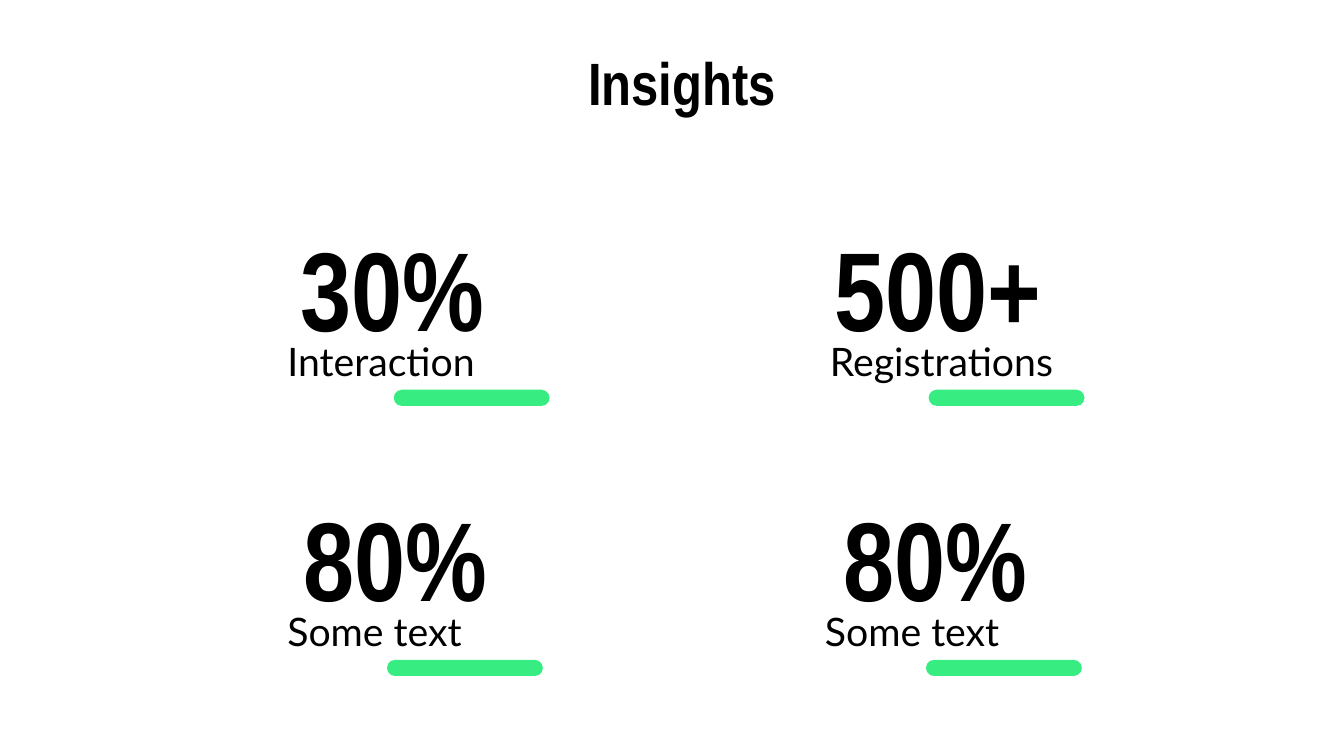
from dataclasses import dataclass

from pptx import Presentation
from pptx.dml.color import RGBColor
from pptx.enum.shapes import MSO_SHAPE as Shape
from pptx.enum.text import MSO_AUTO_SIZE as AutoSize, PP_ALIGN as Align
from pptx.util import Inches, Pt


@dataclass(frozen=True)
class Theme:
    ink: RGBColor = RGBColor(0x00, 0x00, 0x00)
    accent: RGBColor = RGBColor(0x37, 0xED, 0x81)
    paper: RGBColor = RGBColor(0xFF, 0xFF, 0xFF)
    display_font: str = "Arial Narrow"
    body_font: str = "Lato"
    title_size: int = 32
    number_size: int = 60
    label_size: int = 21


@dataclass(frozen=True)
class Stat:
    """One figure; the offsets are inches from the left of its column."""
    column: int
    row: int
    number: str
    label: str
    number_center: float
    bar_left: float
    label_left: float = 0.04
    label_width: float = 2.13
    label_align: Align = Align.LEFT


THEME = Theme()
SLIDE_WIDTH = 10
SLIDE_HEIGHT = SLIDE_WIDTH * 9 / 16
GRID_LEFT, GRID_TOP = 2, 1.53
COLUMN_PITCH, ROW_PITCH = 4, 2.01
NUMBER_WIDTH, NUMBER_HEIGHT = 2.25, 1.21
LABEL_DROP, LABEL_HEIGHT = 0.88, 0.56
BAR_DROP, BAR_WIDTH, BAR_HEIGHT = 1.37, 1.16, 0.12

STATS = (
    Stat(0, 0, "30%", "Interaction", 0.92, 0.93, label_width=1.92),
    Stat(1, 0, "500+", "Registrations", 0.98, 0.91,
         label_left=-0.06, label_align=Align.CENTER),
    Stat(1, 1, "80%", "Some text", 0.96, 0.89),
    Stat(0, 1, "80%", "Some text", 0.94, 0.88),
)


def add_text(slide, text, left, top, width, height, *, size,
             font=THEME.body_font, bold=False, align=Align.LEFT):
    box = slide.shapes.add_textbox(*map(Inches, (left, top, width, height)))
    frame = box.text_frame
    frame.word_wrap = True
    frame.auto_size = AutoSize.SHAPE_TO_FIT_TEXT
    frame.margin_left = frame.margin_right = Inches(0.1)
    frame.margin_top = frame.margin_bottom = Inches(0.1)
    paragraph = frame.paragraphs[0]
    paragraph.alignment = align
    run = paragraph.add_run()
    run.text = text
    run.font.name = font
    run.font.size = Pt(size)
    run.font.bold = bold
    run.font.color.rgb = THEME.ink


def add_bar(slide, left, top):
    bar = slide.shapes.add_shape(
        Shape.ROUNDED_RECTANGLE,
        *map(Inches, (left, top, BAR_WIDTH, BAR_HEIGHT)))
    bar.adjustments[0] = 0.5
    bar.shadow.inherit = False
    bar.fill.solid()
    bar.fill.fore_color.rgb = THEME.accent
    bar.line.fill.background()


def add_stat(slide, stat):
    left = GRID_LEFT + stat.column * COLUMN_PITCH
    top = GRID_TOP + stat.row * ROW_PITCH
    add_text(slide, stat.number, left + stat.number_center - NUMBER_WIDTH / 2,
             top, NUMBER_WIDTH, NUMBER_HEIGHT, size=THEME.number_size,
             font=THEME.display_font, bold=True, align=Align.CENTER)
    add_text(slide, stat.label, left + stat.label_left, top + LABEL_DROP,
             stat.label_width, LABEL_HEIGHT, size=THEME.label_size,
             align=stat.label_align)
    add_bar(slide, left + stat.bar_left, top + BAR_DROP)


def main():
    presentation = Presentation()
    presentation.slide_width = Inches(SLIDE_WIDTH)
    presentation.slide_height = Inches(SLIDE_HEIGHT)
    slide = presentation.slides.add_slide(presentation.slide_layouts[6])
    slide.background.fill.solid()
    slide.background.fill.fore_color.rgb = THEME.paper

    for stat in STATS:
        add_stat(slide, stat)
    add_text(slide, "Insights", 1.29, 0.24, 7.57, 0.74, size=THEME.title_size,
             font=THEME.display_font, bold=True, align=Align.CENTER)
    presentation.save("out.pptx")


if __name__ == "__main__":
    main()
